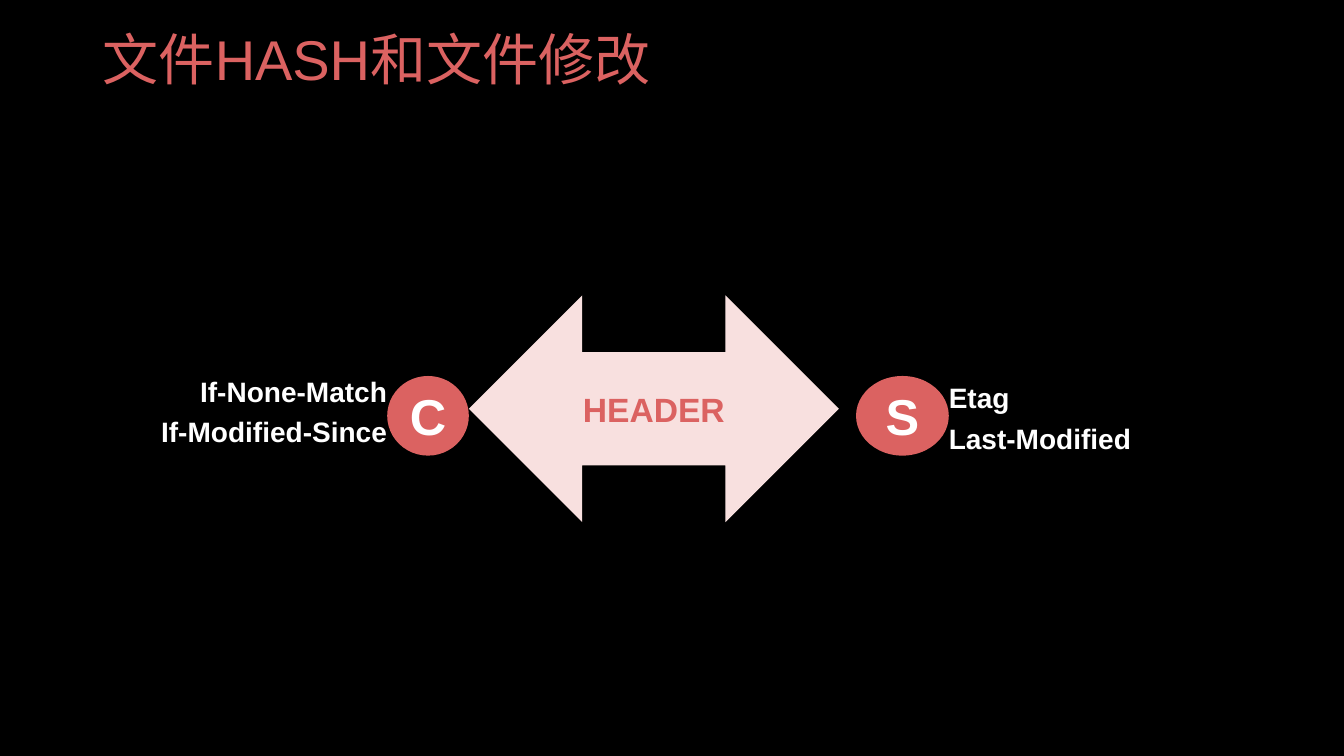
from lxml.etree import SubElement
from pptx import Presentation
from pptx.dml.color import RGBColor
from pptx.enum.shapes import MSO_SHAPE
from pptx.enum.text import MSO_ANCHOR, MSO_AUTO_SIZE, PP_ALIGN
from pptx.oxml.ns import qn
from pptx.util import Inches, Pt

BLACK = RGBColor(0x00, 0x00, 0x00)
WHITE = RGBColor(0xFF, 0xFF, 0xFF)
CORAL = RGBColor(0xDB, 0x62, 0x61)
BLUSH = RGBColor(0xF8, 0xE0, 0xDF)

TWO_CONTENT = 3
WIDTH, HEIGHT = 13.33, 7.5
CLIENT_LEFT, ARROW_LEFT = 3.84, 4.65
SERVER_LEFT, SERVER_RIGHT = 8.49, 9.41
NODE_TOP, NODE_HEIGHT = 3.73, 0.79


def write(frame, *lines, size, color, bold=True, align=PP_ALIGN.CENTER,
          space_before=0, line_spacing=1.0, margin=None):
    frame.word_wrap = True
    frame.auto_size = MSO_AUTO_SIZE.NONE
    frame.vertical_anchor = MSO_ANCHOR.MIDDLE
    if margin is not None:
        frame.margin_left = frame.margin_right = margin
        frame.margin_top = frame.margin_bottom = margin
    for number, line in enumerate(lines):
        paragraph = frame.add_paragraph() if number else frame.paragraphs[0]
        paragraph.alignment = align
        paragraph.space_before = Pt(space_before)
        paragraph.line_spacing = line_spacing
        run = paragraph.add_run()
        run.text = line
        run.font.name = "Arial"
        run.font.size = Pt(size)
        run.font.bold = bold
        run.font.color.rgb = color


def place(placeholder, left, top, width, height):
    placeholder.left, placeholder.top = Inches(left), Inches(top)
    placeholder.width, placeholder.height = Inches(width), Inches(height)


def add_label_shape(slide, preset, box, label, fill, color, size):
    figure = slide.shapes.add_shape(preset, *map(Inches, box))
    figure.shadow.inherit = False
    figure.fill.solid()
    figure.fill.fore_color.rgb = fill
    figure.line.fill.background()
    write(figure.text_frame, label, size=size, color=color)


def add_node(slide, letter, left, right):
    box = (left, NODE_TOP, right - left, NODE_HEIGHT)
    add_label_shape(slide, MSO_SHAPE.OVAL, box, letter, CORAL, WHITE, 36)


def fill_header_list(headers, box, fields, align):
    place(headers, *box)
    write(headers.text_frame, *fields, size=20, color=WHITE, align=align,
          space_before=4.8, margin=0)
    for paragraph in headers.text_frame.paragraphs:
        properties = paragraph._p.get_or_add_pPr()
        properties.set("marL", "0")
        properties.set("indent", "0")
        SubElement(properties, qn("a:buNone"))


def main():
    deck = Presentation()
    deck.slide_width, deck.slide_height = Inches(WIDTH), Inches(HEIGHT)
    slide = deck.slides.add_slide(deck.slide_layouts[TWO_CONTENT])
    for spare in list(slide.placeholders)[3:]:
        spare._element.getparent().remove(spare._element)
    slide.background.fill.solid()
    slide.background.fill.fore_color.rgb = BLACK

    title, request_headers, response_headers = slide.placeholders
    place(title, 0.92, 0.03, 11.5, 1.17)
    write(title.text_frame, "文件HASH和文件修改", size=40, color=CORAL,
          bold=False, align=PP_ALIGN.LEFT, line_spacing=0.9)

    add_label_shape(slide, MSO_SHAPE.LEFT_RIGHT_ARROW,
                    (ARROW_LEFT, 2.93, 3.67, 2.25), "HEADER", BLUSH, CORAL, 24)
    add_node(slide, "C", CLIENT_LEFT, ARROW_LEFT)
    add_node(slide, "S", SERVER_LEFT, SERVER_RIGHT)

    fill_header_list(request_headers, (1, 3.3, CLIENT_LEFT - 1, 1.56),
                     ("If-None-Match", "If-Modified-Since"), PP_ALIGN.RIGHT)
    fill_header_list(response_headers, (SERVER_RIGHT, 3.54, 3.05, 1.21),
                     ("Etag", "Last-Modified"), PP_ALIGN.LEFT)
    deck.save("out.pptx")


if __name__ == "__main__":
    main()
